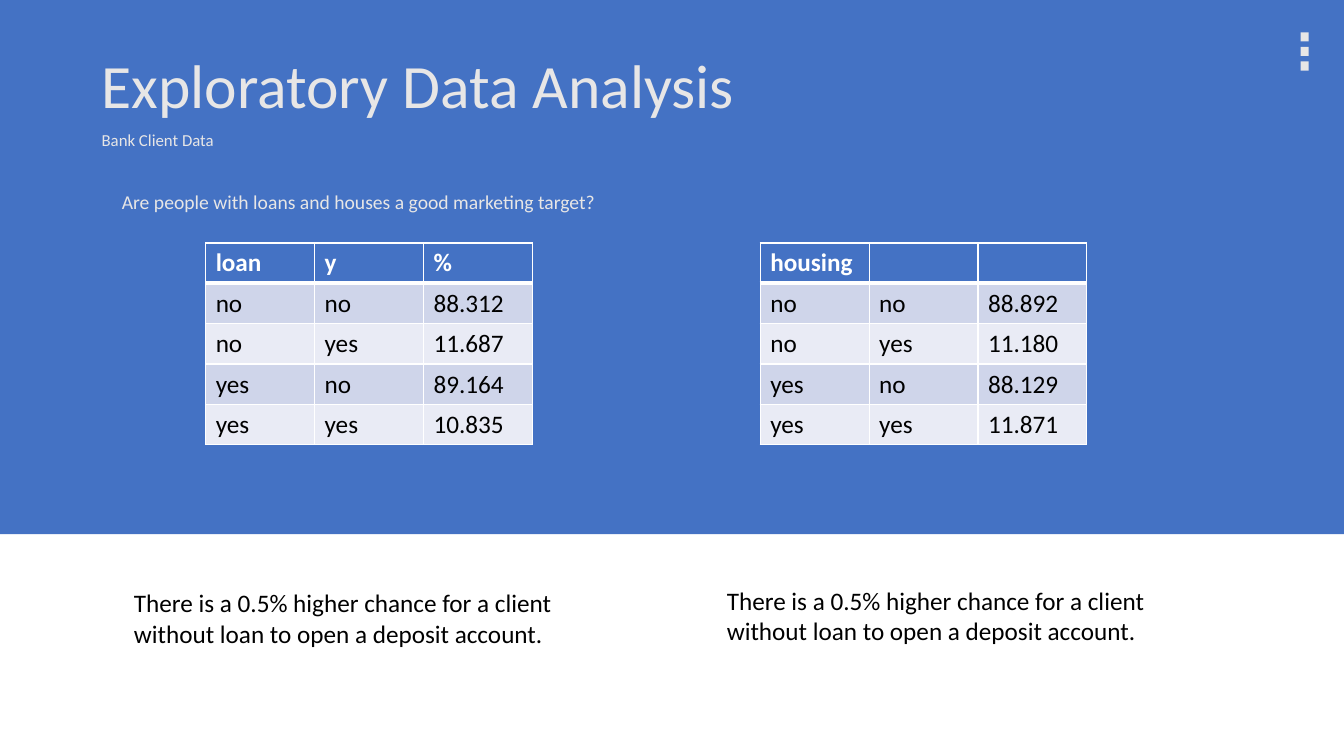
from pptx import Presentation
from pptx.dml.color import RGBColor
from pptx.enum.shapes import MSO_SHAPE
from pptx.enum.text import MSO_ANCHOR
from pptx.oxml.ns import qn
from pptx.util import Inches, Pt
from lxml.etree import SubElement

BLUE = RGBColor(0x44, 0x72, 0xC4)
LIGHT_GRAY = RGBColor(0xE7, 0xE6, 0xE6)
BAND_DARK = RGBColor(0xCF, 0xD5, 0xEA)
BAND_LIGHT = RGBColor(0xE9, 0xEB, 0xF5)
WHITE = RGBColor(0xFF, 0xFF, 0xFF)
BLACK = RGBColor(0x00, 0x00, 0x00)


class SlideBuilder:
    font_name = "Calibri"
    body_size = 18
    column_width = 1.08
    row_height = 0.4

    def __init__(self, slide):
        self.slide = slide

    def rectangle(self, left, top, width, height, color):
        shape = self.slide.shapes.add_shape(
            MSO_SHAPE.RECTANGLE, Inches(left), Inches(top), Inches(width), Inches(height))
        shape.shadow.inherit = False
        shape.fill.solid()
        shape.fill.fore_color.rgb = color
        shape.line.fill.background()

    def span(self, para, text, size, color, bold=False):
        span = para.add_run()
        span.text = text
        span.font.name = self.font_name
        span.font.size = Pt(size)
        span.font.bold = bold
        span.font.color.rgb = color

    def text(self, left, top, width, height, text, size, color,
             anchor=MSO_ANCHOR.TOP, line_spacing=1.0, space_before=0):
        box = self.slide.shapes.add_textbox(
            Inches(left), Inches(top), Inches(width), Inches(height))
        frame = box.text_frame
        frame.word_wrap = True
        frame.vertical_anchor = anchor
        para = frame.paragraphs[0]
        para.line_spacing = line_spacing
        para.space_before = Pt(space_before)
        self.span(para, text, size, color)

    def borders(self, cell, top_width, bottom_width):
        properties = cell._tc.get_or_add_tcPr()
        widths = {"a:lnL": 1, "a:lnR": 1, "a:lnT": top_width, "a:lnB": bottom_width}
        for side, width in widths.items():
            line = SubElement(properties, qn(side), w=str(Pt(width)))
            fill = SubElement(line, qn("a:solidFill"))
            SubElement(fill, qn("a:srgbClr"), val=str(WHITE))

    def table(self, left, top, rows):
        column_count = len(rows[0])
        table = self.slide.shapes.add_table(
            len(rows), column_count, Inches(left), Inches(top),
            Inches(self.column_width * column_count),
            Inches(self.row_height * len(rows))).table
        for row_index, row in enumerate(rows):
            header = row_index == 0
            band = BAND_DARK if row_index % 2 else BAND_LIGHT
            for column_index, text in enumerate(row):
                cell = table.cell(row_index, column_index)
                self.borders(cell, 3 if row_index == 1 else 1, 3 if header else 1)
                cell.fill.solid()
                cell.fill.fore_color.rgb = BLUE if header else band
                if text:
                    self.span(cell.text_frame.paragraphs[0], text, self.body_size,
                              WHITE if header else BLACK, header)


def answer_rows(header, percentages):
    answers = [("no", "no"), ("no", "yes"), ("yes", "no"), ("yes", "yes")]
    return [header] + [(*answer, value) for answer, value in zip(answers, percentages)]


def main():
    deck = Presentation()
    deck.slide_width = Inches(13.33)
    deck.slide_height = Inches(7.5)
    page = SlideBuilder(deck.slides.add_slide(deck.slide_layouts[6]))

    page.rectangle(0, 0, 13.33, 5.3, BLUE)
    for index in range(3):
        page.rectangle(12.9, 0.32 + index * 0.29 / 2, 0.08, 0.09, LIGHT_GRAY)

    page.text(0.91, 0.35, 7.5, 1.05, "Exploratory Data Analysis", 44, LIGHT_GRAY,
              MSO_ANCHOR.MIDDLE, 0.9)
    page.text(0.91, 1.21, 7.5, 0.38, "Bank Client Data", 12, LIGHT_GRAY,
              MSO_ANCHOR.MIDDLE, 0.9, 10)
    page.text(1.11, 1.72, 10.02, 0.42,
              "Are people with loans and houses a good marketing target?",
              14, LIGHT_GRAY, line_spacing=1.5)

    conclusion = ("There is a 0.5% higher chance for a client without loan "
                  "to open a deposit account.")
    for left, top, width in [(1.23, 5.78, 4.87), (7.11, 5.76, 4.99)]:
        page.text(left, top, width, 0.71, conclusion, page.body_size, BLACK)

    page.table(2.04, 2.41, answer_rows(
        ("loan", "y", "%"), ("88.312", "11.687", "89.164", "10.835")))
    page.table(7.54, 2.41, answer_rows(
        ("housing", "", ""), ("88.892", "11.180", "88.129", "11.871")))

    deck.save("out.pptx")


if __name__ == "__main__":
    main()
